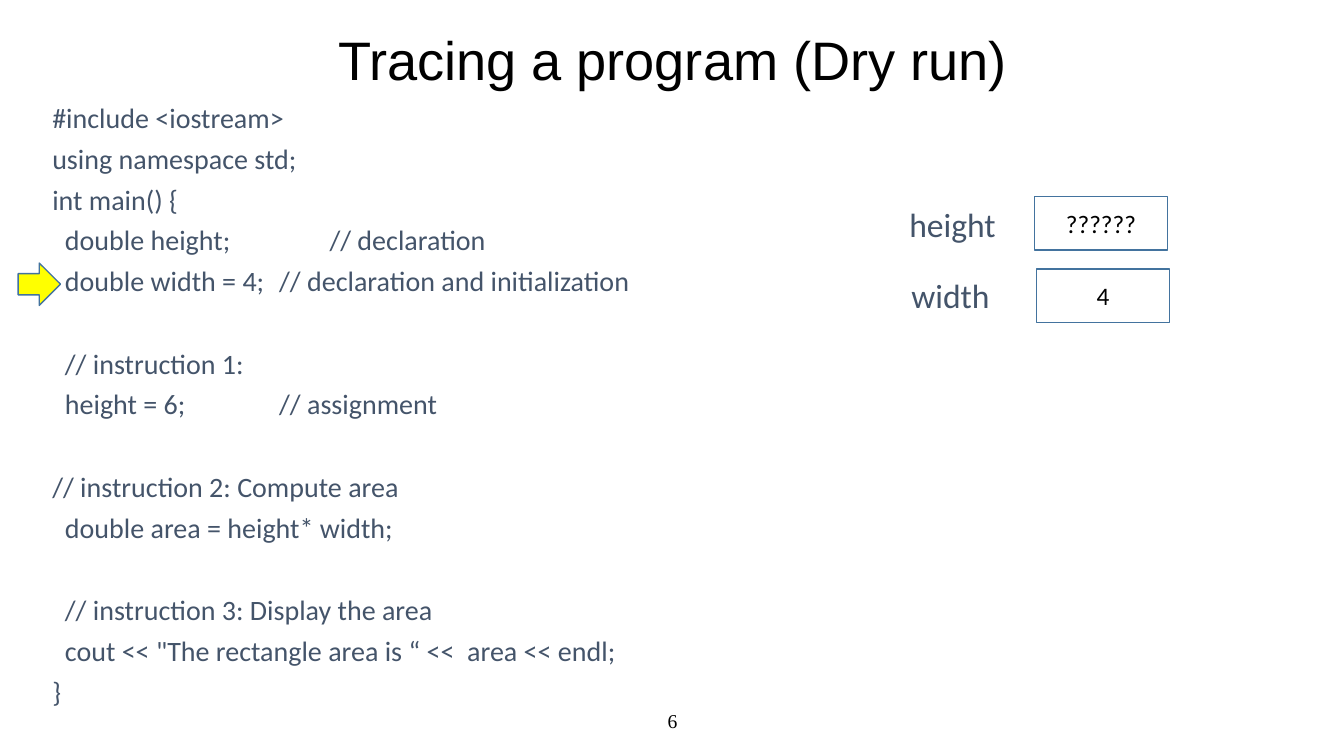
from dataclasses import dataclass

from pptx import Presentation
from pptx.dml.color import RGBColor
from pptx.enum.shapes import MSO_SHAPE
from pptx.enum.text import MSO_ANCHOR, MSO_AUTO_SIZE, PP_ALIGN
from pptx.util import Inches, Pt


@dataclass(frozen=True)
class Theme:
    black: RGBColor = RGBColor.from_string("000000")
    slate: RGBColor = RGBColor.from_string("44546A")
    outline: RGBColor = RGBColor.from_string("43739E")
    marker: RGBColor = RGBColor.from_string("FFFF00")
    title_size: Pt = Pt(38.7)
    label_size: Pt = Pt(24)
    code_size: Pt = Pt(20)
    value_size: Pt = Pt(18)
    number_size: Pt = Pt(14)


theme = Theme()

prs = Presentation()
prs.slide_width, prs.slide_height = Inches(13.33), Inches(7.5)
slide = prs.slides.add_slide(prs.slide_layouts[6])


def write(paragraph, text, color, font, paragraph_format):
    """Fill one paragraph and apply its format values."""
    for name, value in paragraph_format.items():
        setattr(paragraph, name, value)
    run = paragraph.add_run()
    run.text = text
    run.font.color.rgb = color
    for name, value in font.items():
        setattr(run.font, name, value)


def add_outlined(preset, left, top, width, height):
    """Add a preset shape with the thin blue outline and no fill."""
    outlined = slide.shapes.add_shape(
        preset, Inches(left), Inches(top), Inches(width), Inches(height))
    outlined.shadow.inherit = False
    outlined.fill.background()
    outlined.line.color.rgb = theme.outline
    outlined.line.width = Pt(1)
    return outlined


# Slide number and title
centred_texts = [
    ("6", (4.42, 6.95, 4.5, 0.4),
     {"name": "Times New Roman", "size": theme.number_size}, 1.0),
    ("Tracing a program (Dry run)", (2.42, 0.33, 8.5, 0.58),
     {"name": "Arial", "size": theme.title_size}, 0.9),
]
for text, place, font, spacing in centred_texts:
    frame = slide.shapes.add_textbox(*map(Inches, place)).text_frame
    frame.word_wrap = True
    frame.vertical_anchor = MSO_ANCHOR.MIDDLE
    write(frame.paragraphs[0], text, theme.black, font,
          {"alignment": PP_ALIGN.CENTER, "line_spacing": spacing})

# Arrow at the current statement
current_line = add_outlined(MSO_SHAPE.RIGHT_ARROW, 0.18, 2.61, 0.42, 0.42)
current_line.fill.solid()
current_line.fill.fore_color.rgb = theme.marker

# Variables in memory: value box and label
variables = [
    ("height", "??????", (10.26, 1.95), (8.92, 1.97, 1.07, 0.5)),
    ("width", "4", (10.28, 2.67), (8.94, 2.68, 0.99, 0.5)),
]
for name, value, cell_corner, label_place in variables:
    cell = add_outlined(MSO_SHAPE.RECTANGLE, *cell_corner, 1.32, 0.53)
    cell.text_frame.vertical_anchor = MSO_ANCHOR.MIDDLE
    write(cell.text_frame.paragraphs[0], value, theme.black,
          {"name": "Calibri", "size": theme.value_size},
          {"alignment": PP_ALIGN.CENTER})

    label = slide.shapes.add_textbox(*map(Inches, label_place)).text_frame
    label.word_wrap = False
    label.auto_size = MSO_AUTO_SIZE.SHAPE_TO_FIT_TEXT
    write(label.paragraphs[0], name, theme.slate,
          {"name": "Calibri", "size": theme.label_size}, {})

# Program listing, in blocks set apart by a line's height
code_blocks = [
    ["#include <iostream>",
     "using namespace std;",
     "int main() {",
     "  double height;\t\t// declaration",
     "  double width = 4;\t// declaration and initialization"],
    ["  // instruction 1:",
     "  height = 6;\t\t// assignment"],
    ["// instruction 2: Compute area",
     "  double area = height* width;"],
    ["  // instruction 3: Display the area",
     '  cout << "The rectangle area is “ <<  area << endl;',
     "}"],
]
line_gap, block_gap = Pt(10), Pt(39.5)
listing = slide.shapes.add_textbox(
    Inches(0.42), Inches(1.01), Inches(6.91), Inches(6.14)).text_frame
listing.word_wrap = True
for block_index, block in enumerate(code_blocks):
    for line_index, code in enumerate(block):
        first = block_index == line_index == 0
        paragraph = listing.paragraphs[0] if first else listing.add_paragraph()
        properties = paragraph._p.get_or_add_pPr()
        properties.set("marL", str(Inches(0.25)))
        properties.set("indent", str(Inches(-0.25)))
        line_format = {"line_spacing": 0.8}
        if not first:
            line_format["space_before"] = line_gap if line_index else block_gap
        write(paragraph, code, theme.slate,
              {"name": "Calibri", "size": theme.code_size}, line_format)

prs.save("out.pptx")
